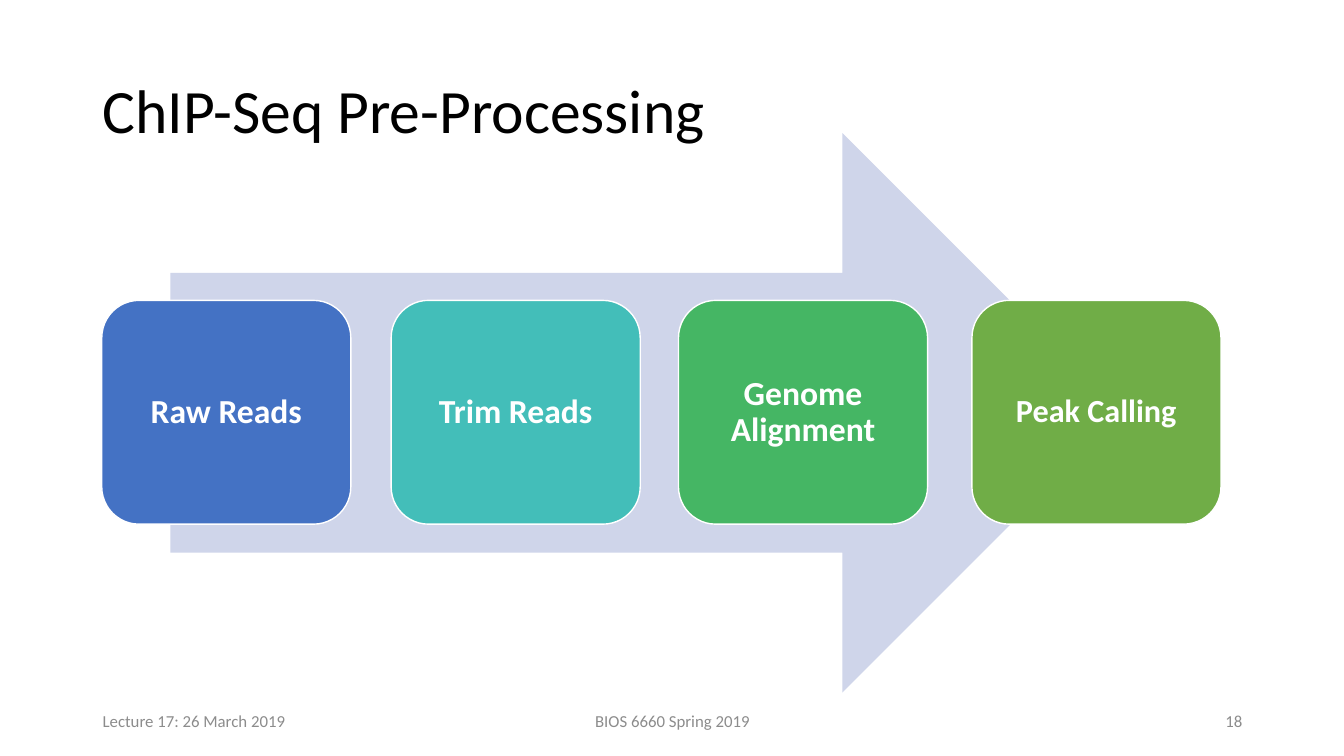
from pptx import Presentation
from pptx.dml.color import RGBColor
from pptx.enum.shapes import MSO_SHAPE as Shape
from pptx.enum.text import MSO_ANCHOR as Anchor, PP_ALIGN as Align
from pptx.util import Inches, Pt


def color(value):
    return RGBColor.from_string(value)


def write(box, text, size, hue, align, inset=0.1, bold=False, spacing=1.0):
    frame = box.text_frame
    frame.text = text
    frame.word_wrap = True
    frame.vertical_anchor = Anchor.MIDDLE
    frame.margin_left = frame.margin_right = Inches(0.1)
    frame.margin_top = frame.margin_bottom = Inches(inset)
    para = frame.paragraphs[0]
    para.alignment = align
    para.line_spacing = spacing
    font = para.runs[0].font
    font.name = "Calibri"
    font.size = Pt(size)
    font.bold = bold
    font.color.rgb = color(hue)


deck = Presentation()
deck.slide_width = Inches(13.33)
deck.slide_height = Inches(7.5)
page = deck.slides.add_slide(deck.slide_layouts[6])
shapes = page.shapes

title = shapes.add_textbox(Inches(0.92), Inches(0.4), Inches(11.5), Inches(1.45))
write(title, "ChIP-Seq Pre-Processing", 44, "000000", Align.LEFT, inset=0.05, spacing=0.9)

footers = [
    (0.92, 3, "Lecture 17: 26 March 2019", Align.LEFT),
    (4.42, 4.5, "BIOS 6660 Spring 2019", Align.CENTER),
    (9.42, 3, "18", Align.RIGHT),
]
for left, width, text, align in footers:
    footer = shapes.add_textbox(Inches(left), Inches(6.95), Inches(width), Inches(0.4))
    write(footer, text, 12, "8C8C8C", align, inset=0.05)

arrow = shapes.add_shape(
    Shape.RIGHT_ARROW, Inches(1.69), Inches(1.32), Inches(9.44), Inches(5.55)
)
arrow.shadow.inherit = False
arrow.fill.solid()
arrow.fill.fore_color.rgb = color("CFD5EA")
arrow.line.fill.background()

steps = [
    (1.01, "Raw Reads", "4472C4", 24),
    (3.88, "Trim Reads", "43BEB9", 24),
    (6.73, "Genome Alignment", "45B664", 24),
    (9.64, "Peak Calling", "70AD47", 23),
]
for left, label, hue, size in steps:
    step = shapes.add_shape(
        Shape.ROUNDED_RECTANGLE, Inches(left), Inches(2.98), Inches(2.47), Inches(2.22)
    )
    step.shadow.inherit = False
    step.fill.solid()
    step.fill.fore_color.rgb = color(hue)
    step.line.color.rgb = color("FFFFFF")
    step.line.width = Pt(1)
    write(step, label, size, "FFFFFF", Align.CENTER, bold=True, spacing=0.9)

deck.save("out.pptx")
